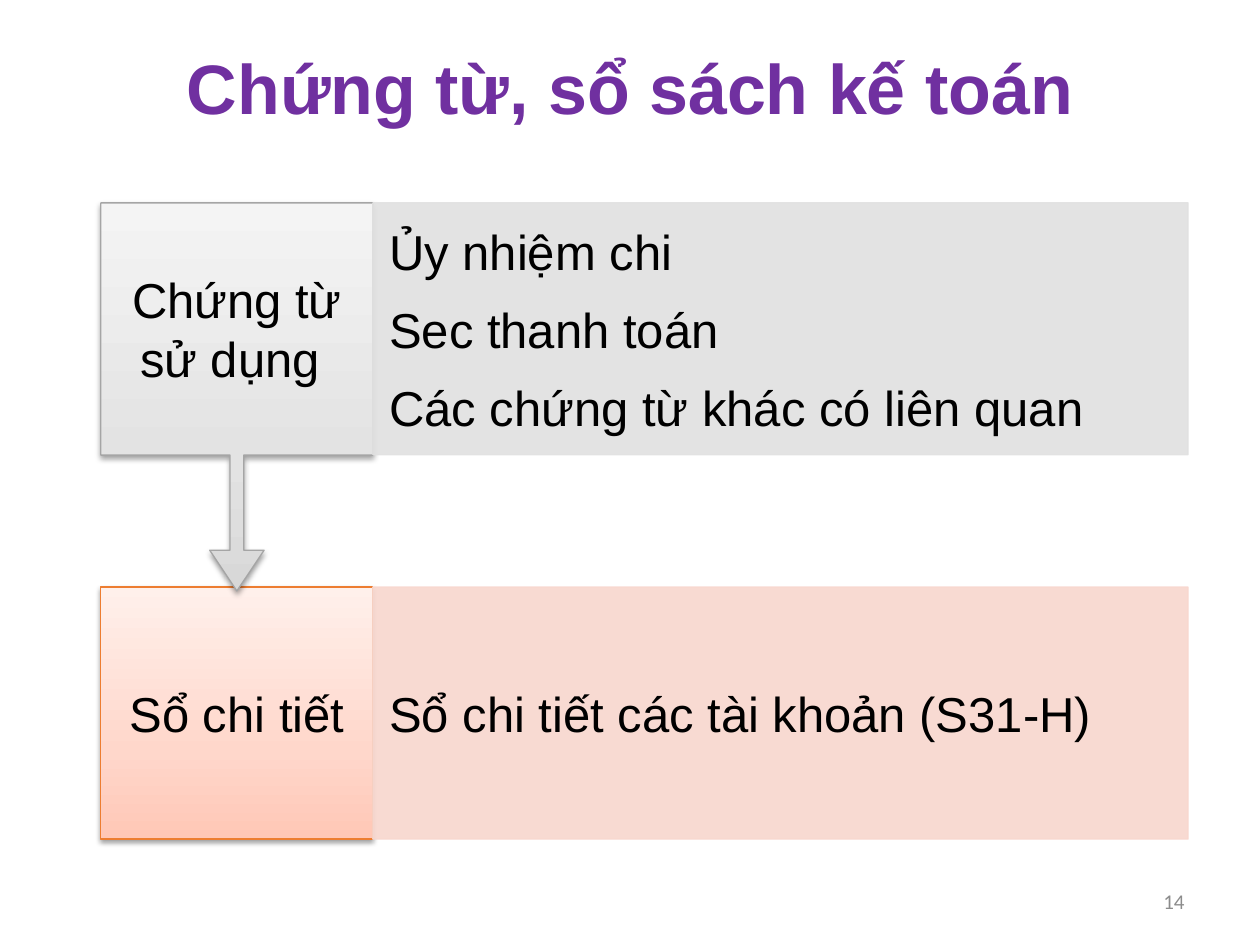
from lxml.etree import SubElement
from pptx import Presentation
from pptx.dml.color import RGBColor
from pptx.enum.shapes import MSO_SHAPE
from pptx.enum.text import MSO_ANCHOR, PP_ALIGN
from pptx.oxml.ns import qn
from pptx.util import Inches, Pt

HUES = {
    "title": "7030A0", "text": "000000", "page": "8C8C8C", "shade": "000000",
    "gray": "E1E1E1", "rose": "F8D7CE", "steel": "A5A5A5", "rust": "ED7D31",
}
FADES = {
    "gray": ["D8D8D8", "E3E3E3", "F4F4F4"],
    "rose": ["FFC7B6", "FFD7CB", "FFF0EB"],
}
STOPS = [0, 35, 100]
LEFT, SPLIT = 0.8, 2.96
SIDE, WIDE, HIGH = 2.16, 6.47, 2
ROWS = [1.61, 4.66]


def hue(name):
    return RGBColor.from_string(HUES[name])


def place(shape, box):
    shape.left, shape.top, shape.width, shape.height = map(Inches, box)


def write(shape, lines, size=28, color="text", font="Arial", bold=False,
          align=PP_ALIGN.LEFT, anchor=MSO_ANCHOR.MIDDLE, pad=(0.1, 0.05), after=0):
    frame = shape.text_frame
    frame.text = "\n".join(lines)
    frame.word_wrap = True
    frame.vertical_anchor = anchor
    frame.margin_left = frame.margin_right = Inches(pad[0])
    frame.margin_top = frame.margin_bottom = Inches(pad[1])
    for para in frame.paragraphs:
        para.alignment = align
        para.space_after = Pt(after)
        for run in para.runs:
            run.font.name = font
            run.font.size = Pt(size)
            run.font.bold = bold
            run.font.color.rgb = hue(color)


def add_text(slide, box, lines, **style):
    text = slide.shapes.add_textbox(*map(Inches, box))
    write(text, lines, **style)


def add_form(slide, kind, box, edge):
    shape = slide.shapes.add_shape(kind, *map(Inches, box))
    shape.shadow.inherit = False
    shape.line.color.rgb = hue(edge)
    shape.line.width = Pt(0.75)
    return shape


def add_color(node, value, alpha=None):
    color = SubElement(node, qn("a:srgbClr"), val=value)
    if alpha:
        SubElement(color, qn("a:alpha"), val=str(alpha * 1000))


def add_fade(shape, fade):
    shape.fill.gradient()
    grad = shape.fill._xPr.find(qn("a:gradFill"))
    grad.set("rotWithShape", "0")
    for child in list(grad):
        grad.remove(child)
    stops = SubElement(grad, qn("a:gsLst"))
    for pos, value in zip(STOPS, FADES[fade]):
        add_color(SubElement(stops, qn("a:gs"), pos=str(pos * 1000)), value)
    SubElement(grad, qn("a:lin"), ang=str(270 * 60000), scaled="0")


def add_shade(shape):
    effects = shape._element.spPr.find(qn("a:effectLst"))
    shade = SubElement(
        effects, qn("a:outerShdw"), blurRad=str(Pt(3.1)), dist=str(Pt(1.6)),
        dir=str(90 * 60000), rotWithShape="0")
    add_color(shade, HUES["shade"], 38)


def add_head(slide, kind, box, fade, edge):
    shape = add_form(slide, kind, box, edge)
    add_fade(shape, fade)
    add_shade(shape)
    return shape


def add_body(slide, top, tint, lines):
    shape = add_form(slide, MSO_SHAPE.RECTANGLE, (SPLIT, top, WIDE, HIGH), tint)
    shape.fill.solid()
    shape.fill.fore_color.rgb = hue(tint)
    for color in shape._element.spPr.iter(qn("a:srgbClr")):
        SubElement(color, qn("a:alpha"), val="90000")
    write(shape, lines, pad=(0.13, 0.39), after=11)


def main():
    deck = Presentation()
    deck.slide_width, deck.slide_height = Inches(10), Inches(7.5)
    slide = deck.slides.add_slide(deck.slide_layouts[5])

    title = slide.shapes.title
    place(title, (0.69, 0.23, 8.62, 0.85))
    write(title, ["Chứng từ, sổ sách kế toán"], size=40, color="title",
          bold=True, align=PP_ALIGN.CENTER, anchor=MSO_ANCHOR.BOTTOM)
    title.text_frame.paragraphs[0].line_spacing = 0.9

    add_text(slide, (7.17, 6.95, 2.33, 0.4), ["14"], size=12, color="page",
             font="Calibri", align=PP_ALIGN.RIGHT)

    label = {"align": PP_ALIGN.CENTER, "pad": (0.15, 0.22), "after": 11}
    first, last = ROWS
    ledger = add_head(slide, MSO_SHAPE.RECTANGLE, (LEFT, last, SIDE, HIGH),
                      "rose", "rust")
    write(ledger, ["Sổ chi tiết"], **label)
    add_body(slide, last, "rose", ["Sổ chi tiết các tài khoản (S31-H)"])

    arrow = add_head(slide, MSO_SHAPE.UP_ARROW_CALLOUT,
                     (LEFT, first, SIDE, 3.08), "gray", "steel")
    arrow.rotation = 180
    for index, value in enumerate([0.05, 0.1, 0.15, 0.65]):
        arrow.adjustments[index] = value
    add_text(slide, (LEFT, first, SIDE, HIGH), ["Chứng từ sử dụng "], **label)
    add_body(slide, first, "gray", [
        "Ủy nhiệm chi", "Sec thanh toán", "Các chứng từ khác có liên quan"])

    deck.save("out.pptx")


if __name__ == "__main__":
    main()
